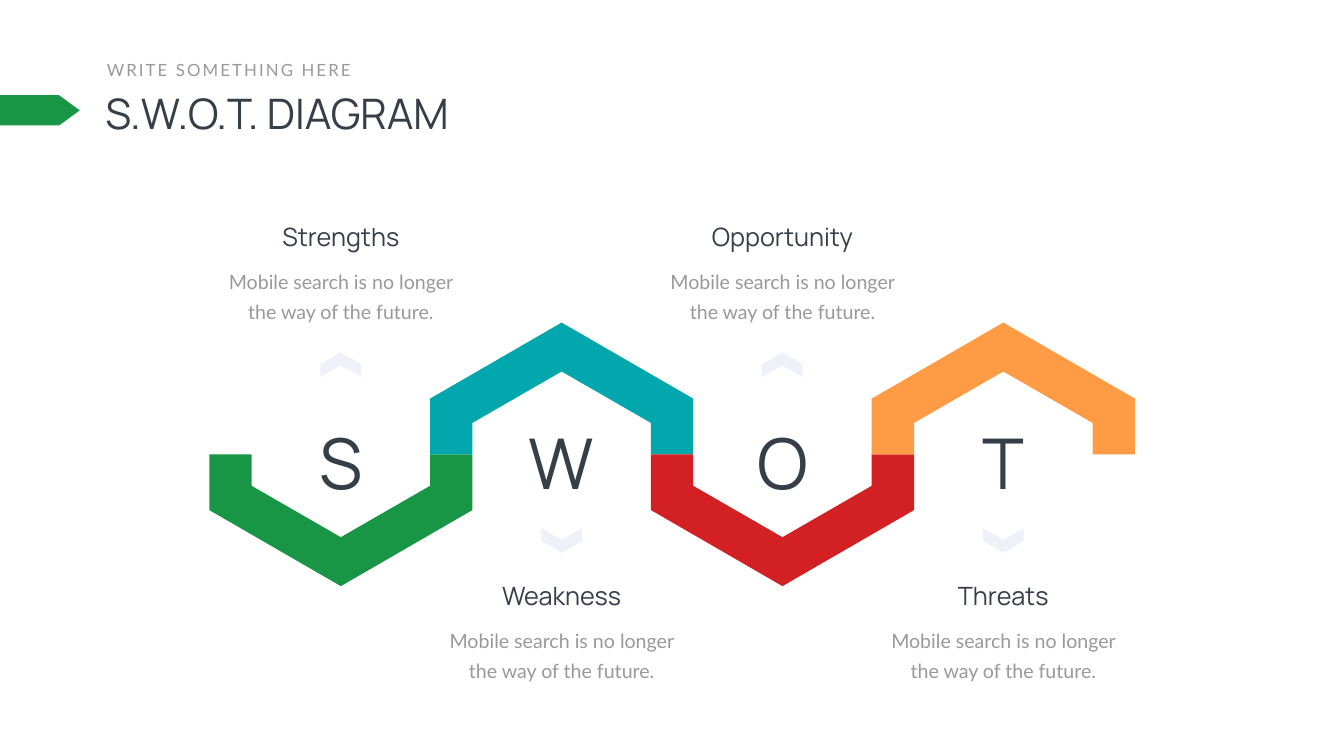
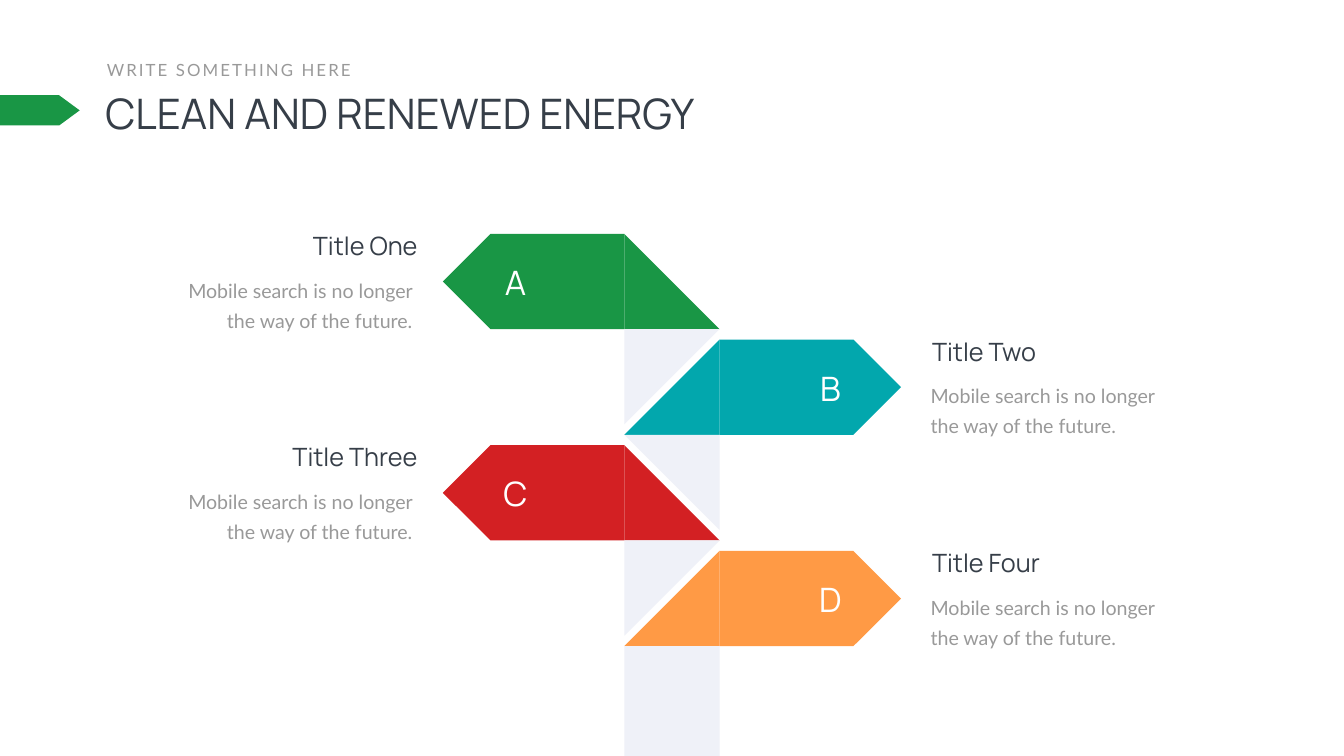
from dataclasses import dataclass

import pptx
import pptx.dml.color
import pptx.enum.shapes
import pptx.enum.text
import pptx.util

PRESET = pptx.enum.shapes.MSO_SHAPE
ALIGN = pptx.enum.text.PP_ALIGN

SLIDE_WIDTH = pptx.util.Inches(26.66)
SLIDE_HEIGHT = pptx.util.Inches(15)

COLORS = {
    "green": "199645",
    "teal": "02A7AD",
    "red": "D32023",
    "orange": "FF9A45",
    "pale": "EFF1F8",
    "ink": "363E48",
    "grey": "999999",
    "white": "FFFFFF",
}
BLURB = "Mobile search is no longer the way of the future."
HEADING_HEIGHT, BLURB_HEIGHT, BLURB_DROP = 4.73, 9.2, 5.03


@dataclass(frozen=True)
class Area:
    """A rectangle in percent of the slide's width and height."""
    left: float
    top: float
    width: float
    height: float

    def emu(self) -> tuple[int, int, int, int]:
        return (across(self.left), down(self.top),
                across(self.width), down(self.height))


@dataclass(frozen=True)
class TextStyle:
    font: str
    size: int
    color: str
    tracking: int = 0
    leading: int = 0
    inset: tuple[float, float] = (0.1, 0.05)
    wrap: bool = True


TITLE = TextStyle("Manrope", 60, "ink")
KICKER = TextStyle("Lato", 24, "grey", tracking=3, wrap=False)
HEADING = TextStyle("Manrope", 36, "ink")
BODY = TextStyle("Lato", 28, "grey", leading=43, inset=(0.24, 0.12))
SWOT_LETTER = TextStyle("Manrope", 100, "ink")
SIGN_LETTER = TextStyle("Manrope", 48, "white")


@dataclass(frozen=True)
class Topic:
    letter: str
    heading: str
    color: str


SWOT_TOPICS = (
    Topic("S", "Strengths", "green"),
    Topic("W", "Weakness", "teal"),
    Topic("O", "Opportunity", "red"),
    Topic("T", "Threats", "orange"),
)
SIGN_TOPICS = (
    Topic("A", "Title One", "green"),
    Topic("B", "Title Two", "teal"),
    Topic("C", "Title Three", "red"),
    Topic("D", "Title Four", "orange"),
)


@dataclass(frozen=True)
class SignSide:
    """Horizontal places, in percent, for signs that point one way."""
    arrow_left: float
    letter_left: float
    heading_left: float
    blurb_left: float
    align: ALIGN
    arrow_turn: int
    fold_turn: int
    mirrored: bool


# Signpost grid, in percent of the slide
POST_LEFT, POST_WIDTH = 46.45, 7.09
ARROW_WIDTH = 13.5
SIGN_TOP, SIGN_HEIGHT, SIGN_PITCH = 30.93, 12.6, 13.98
SIGN_SIDES = (
    SignSide(POST_LEFT - ARROW_WIDTH, 36.2, 12.75, 12.3, ALIGN.RIGHT, 180, 90, False),
    SignSide(POST_LEFT + POST_WIDTH, 59.64, 68.98, 68.34, ALIGN.LEFT, 0, 270, True),
)

# SWOT grid, in percent of the slide
SWOT_CENTER, SWOT_PITCH, SWOT_BASE = 25.36, 16.43, 60.1
RIBBON = ((-9.79, 0), (-9.79, 7.37), (0, 17.43), (9.79, 7.37), (9.79, 0),
          (6.64, 0), (6.64, 4.16), (0, 10.96), (-6.64, 4.16), (-6.64, 0))
CHEVRON = ((0, 0), (1.52, 1.6), (1.52, 3.27), (0, 1.73), (-1.52, 3.27), (-1.52, 1.6))


def across(percent: float) -> int:
    return round(SLIDE_WIDTH * percent / 100)


def down(percent: float) -> int:
    return round(SLIDE_HEIGHT * percent / 100)


def paint(shape, color: str) -> None:
    shape.fill.solid()
    shape.fill.fore_color.rgb = pptx.dml.color.RGBColor.from_string(COLORS[color])
    shape.line.fill.background()
    shape.shadow.inherit = False


def add_preset(slide, preset, area: Area, color: str,
               turn: int = 0, mirrored: bool = False):
    shape = slide.shapes.add_shape(preset, *area.emu())
    paint(shape, color)
    shape.rotation = turn
    if mirrored:
        shape._element.spPr.xfrm.set("flipH", "1")
    return shape


def add_outline(slide, offsets, center: float, base: float,
                direction: int, color: str) -> None:
    """Draw a closed outline around (center, base); direction -1 turns it upside down."""
    points = [(across(center + dx), down(base + direction * dy)) for dx, dy in offsets]
    builder = slide.shapes.build_freeform(*points[0], scale=1.0)
    builder.add_line_segments(points[1:], close=True)
    paint(builder.convert_to_shape(), color)


def write(frame, text: str, style: TextStyle, align) -> None:
    frame.word_wrap = style.wrap
    frame.auto_size = pptx.enum.text.MSO_AUTO_SIZE.SHAPE_TO_FIT_TEXT
    frame.vertical_anchor = pptx.enum.text.MSO_ANCHOR.TOP
    frame.margin_left = frame.margin_right = pptx.util.Inches(style.inset[0])
    frame.margin_top = frame.margin_bottom = pptx.util.Inches(style.inset[1])
    paragraph = frame.paragraphs[0]
    paragraph.alignment = align
    if style.leading:
        paragraph.line_spacing = pptx.util.Pt(style.leading)
    run = paragraph.add_run()
    run.text = text
    run.font.name = style.font
    run.font.size = pptx.util.Pt(style.size)
    run.font.color.rgb = pptx.dml.color.RGBColor.from_string(COLORS[style.color])
    if style.tracking:
        run.font._element.set("spc", str(style.tracking * 100))


def add_text(slide, area: Area, text: str, style: TextStyle, align=ALIGN.CENTER) -> None:
    write(slide.shapes.add_textbox(*area.emu()).text_frame, text, style, align)


def add_titled_slide(deck, title: str):
    slide = deck.slides.add_slide(deck.slide_layouts[5])
    heading = slide.shapes.title
    heading.left, heading.top, heading.width, heading.height = Area(
        7.46, 11.2, 60.24, 7.4).emu()
    write(heading.text_frame, title, TITLE, ALIGN.LEFT)
    add_text(slide, Area(7.58, 7.53, 19.28, 3.33), "WRITE SOMETHING HERE",
             KICKER, ALIGN.LEFT)
    marker = add_preset(slide, PRESET.PENTAGON, Area(0, 12.6, 5.93, 4), "green")
    marker.adjustments[0] = 0.68
    return slide


def add_swot_topic(slide, column: int, topic: Topic) -> None:
    center = SWOT_CENTER + column * SWOT_PITCH
    text_above = column % 2 == 0
    ribbon_direction = 1 if text_above else -1
    chevron_tip, heading_top = (46.6, 29) if text_above else (73.13, 76.47)

    def centered(top: float, width: float, height: float) -> Area:
        return Area(center - width / 2, top, width, height)

    add_outline(slide, RIBBON, center, SWOT_BASE, ribbon_direction, topic.color)
    add_outline(slide, CHEVRON, center, chevron_tip, ribbon_direction, "pale")
    add_text(slide, centered(55.2, 8.33, 11.87), topic.letter, SWOT_LETTER)
    add_text(slide, centered(heading_top + BLURB_DROP, 18.98, BLURB_HEIGHT), BLURB, BODY)
    add_text(slide, centered(heading_top, 19.28, HEADING_HEIGHT), topic.heading, HEADING)


def add_sign(slide, row: int, topic: Topic, is_last: bool) -> None:
    side = SIGN_SIDES[row % 2]
    top = SIGN_TOP + row * SIGN_PITCH
    bottom = top + SIGN_HEIGHT
    heading_top = top - 0.8
    add_preset(slide, PRESET.PENTAGON,
               Area(side.arrow_left, top, ARROW_WIDTH, SIGN_HEIGHT),
               topic.color, side.arrow_turn)
    add_preset(slide, PRESET.RIGHT_TRIANGLE,
               Area(POST_LEFT, top, POST_WIDTH, SIGN_HEIGHT),
               topic.color, mirrored=side.mirrored)
    if is_last:
        add_preset(slide, PRESET.RECTANGLE,
                   Area(POST_LEFT, bottom, POST_WIDTH, 100 - bottom), "pale")
    else:
        add_preset(slide, PRESET.RIGHT_TRIANGLE,
                   Area(POST_LEFT, bottom, POST_WIDTH, SIGN_HEIGHT),
                   "pale", side.fold_turn, side.mirrored)
    add_text(slide, Area(side.letter_left, top + 3.4, 4.31, 6.07),
             topic.letter, SIGN_LETTER)
    add_text(slide, Area(side.blurb_left, heading_top + BLURB_DROP, 19.28, BLURB_HEIGHT),
             BLURB, BODY, side.align)
    add_text(slide, Area(side.heading_left, heading_top, 18.68, HEADING_HEIGHT),
             topic.heading, HEADING, side.align)


def main() -> None:
    deck = pptx.Presentation()
    deck.slide_width, deck.slide_height = SLIDE_WIDTH, SLIDE_HEIGHT

    swot = add_titled_slide(deck, "S.W.O.T. DIAGRAM")
    for column, topic in enumerate(SWOT_TOPICS):
        add_swot_topic(swot, column, topic)

    signpost = add_titled_slide(deck, "CLEAN AND RENEWED ENERGY")
    for row, topic in enumerate(SIGN_TOPICS):
        add_sign(signpost, row, topic, is_last=row == len(SIGN_TOPICS) - 1)

    deck.save("out.pptx")


if __name__ == "__main__":
    main()
